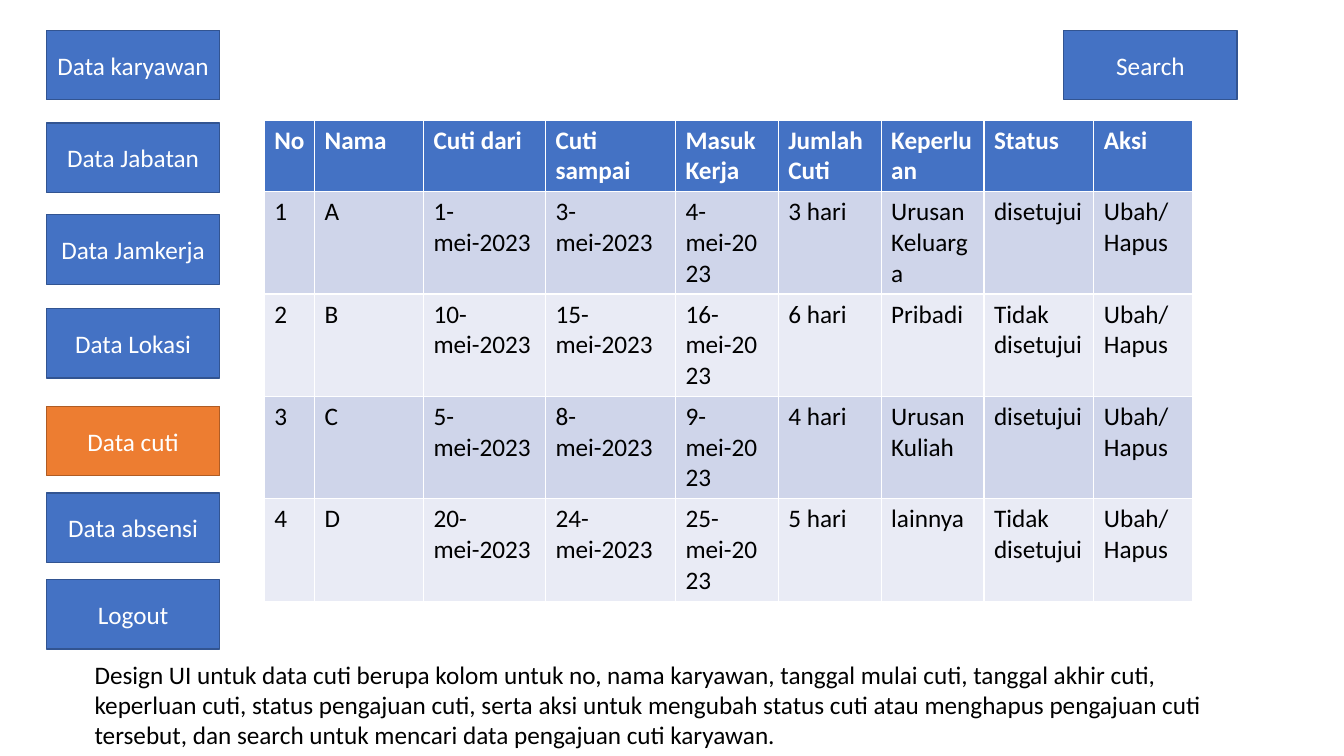
from pptx import Presentation
from pptx import util as u
from pptx.dml.color import RGBColor
from pptx.enum import shapes, text

BLUE = RGBColor(0x44, 0x72, 0xC4)
DARK_BLUE = RGBColor(0x32, 0x54, 0x91)
ORANGE = RGBColor(0xED, 0x7D, 0x31)
DARK_ORANGE = RGBColor(0xAF, 0x5C, 0x24)
BAND_DARK = RGBColor(0xCF, 0xD5, 0xEA)
BAND_LIGHT = RGBColor(0xE9, 0xEB, 0xF5)
WHITE = RGBColor(0xFF, 0xFF, 0xFF)
BLACK = RGBColor(0, 0, 0)

MENU = [
    ("Data karyawan", 0.3),
    ("Data Jabatan", 1.22),
    ("Data Jamkerja", 2.13),
    ("Data Lokasi", 3.06),
    ("Data cuti", 4.03),
    ("Data absensi", 4.89),
    ("Logout", 5.75),
]
ACTIVE_MENU = "Data cuti"
COLUMN_WIDTHS = [0.5, 1.08, 1.21, 1.29, 1.02, 1.02, 1.02, 1.09, 0.98]
HEADER_HEIGHT, ROW_HEIGHT = 0.7, 1.0
ACTION = "Ubah/Hapus"
LEAVE_ROWS = [
    ["No", "Nama", "Cuti dari", "Cuti sampai", "Masuk Kerja", "Jumlah Cuti",
     "Keperluan", "Status", "Aksi"],
    ["1", "A", "1-mei-2023", "3-mei-2023", "4-mei-2023", "3 hari",
     "Urusan Keluarga", "disetujui", ACTION],
    ["2", "B", "10-mei-2023", "15-mei-2023", "16-mei-2023", "6 hari",
     "Pribadi", "Tidak disetujui", ACTION],
    ["3", "C", "5-mei-2023", "8-mei-2023", "9-mei-2023", "4 hari",
     "Urusan Kuliah", "disetujui", ACTION],
    ["4", "D", "20-mei-2023", "24-mei-2023", "25-mei-2023", "5 hari",
     "lainnya", "Tidak disetujui", ACTION],
]
DESCRIPTION = (
    "Design UI untuk data cuti berupa kolom untuk no, nama karyawan, "
    "tanggal mulai cuti, tanggal akhir cuti, keperluan cuti, status pengajuan "
    "cuti, serta aksi untuk mengubah status cuti atau menghapus pengajuan cuti "
    "tersebut, dan search untuk mencari data pengajuan cuti karyawan."
)


class SlideBuilder:
    """Draws the elements of one slide in a shared style."""

    font_name = "Calibri"
    font_size = u.Pt(18)

    def __init__(self, slide):
        self.slide = slide

    def add_text(self, frame, wording, color, bold=False):
        frame.word_wrap = True
        paragraph = frame.paragraphs[0]
        run = paragraph.add_run()
        run.text = wording
        run.font.name = self.font_name
        run.font.size = self.font_size
        run.font.bold = bold
        run.font.color.rgb = color
        return paragraph

    def add_button(self, label, left, top, fill=BLUE, line=DARK_BLUE):
        shape = self.slide.shapes.add_shape(
            shapes.MSO_SHAPE.RECTANGLE,
            u.Inches(left), u.Inches(top), u.Inches(1.72), u.Inches(0.69))
        shape.shadow.inherit = False
        shape.fill.solid()
        shape.fill.fore_color.rgb = fill
        shape.line.color.rgb = line
        shape.line.width = u.Pt(1)
        shape.text_frame.vertical_anchor = text.MSO_ANCHOR.MIDDLE
        paragraph = self.add_text(shape.text_frame, label, WHITE)
        paragraph.alignment = text.PP_ALIGN.CENTER

    def add_table(self, rows, left, top):
        heights = [HEADER_HEIGHT] + [ROW_HEIGHT] * (len(rows) - 1)
        table = self.slide.shapes.add_table(
            len(rows), len(COLUMN_WIDTHS), u.Inches(left), u.Inches(top),
            u.Inches(sum(COLUMN_WIDTHS)), u.Inches(sum(heights))).table
        for column, width in zip(table.columns, COLUMN_WIDTHS):
            column.width = u.Inches(width)
        for index, (row, height) in enumerate(zip(table.rows, heights)):
            row.height = u.Inches(height)
            header = index == 0
            band = BAND_DARK if index % 2 else BAND_LIGHT
            for cell, wording in zip(row.cells, rows[index]):
                cell.fill.solid()
                cell.fill.fore_color.rgb = BLUE if header else band
                self.add_text(cell.text_frame, wording,
                              WHITE if header else BLACK, bold=header)

    def add_text_box(self, wording, left, top, width, height):
        box = self.slide.shapes.add_textbox(
            u.Inches(left), u.Inches(top), u.Inches(width), u.Inches(height))
        self.add_text(box.text_frame, wording, BLACK)
        box.text_frame.auto_size = text.MSO_AUTO_SIZE.SHAPE_TO_FIT_TEXT


presentation = Presentation()
presentation.slide_width = u.Inches(13.33)
presentation.slide_height = u.Inches(7.5)
builder = SlideBuilder(
    presentation.slides.add_slide(presentation.slide_layouts[6]))

builder.add_table(LEAVE_ROWS, 2.62, 1.19)
builder.add_text_box(DESCRIPTION, 0.84, 6.49, 11.34, 1.01)
for label, top in MENU:
    colors = (ORANGE, DARK_ORANGE) if label == ACTIVE_MENU else (BLUE, DARK_BLUE)
    builder.add_button(label, 0.46, top, *colors)
builder.add_button("Search", 10.55, 0.3)

presentation.save("out.pptx")
